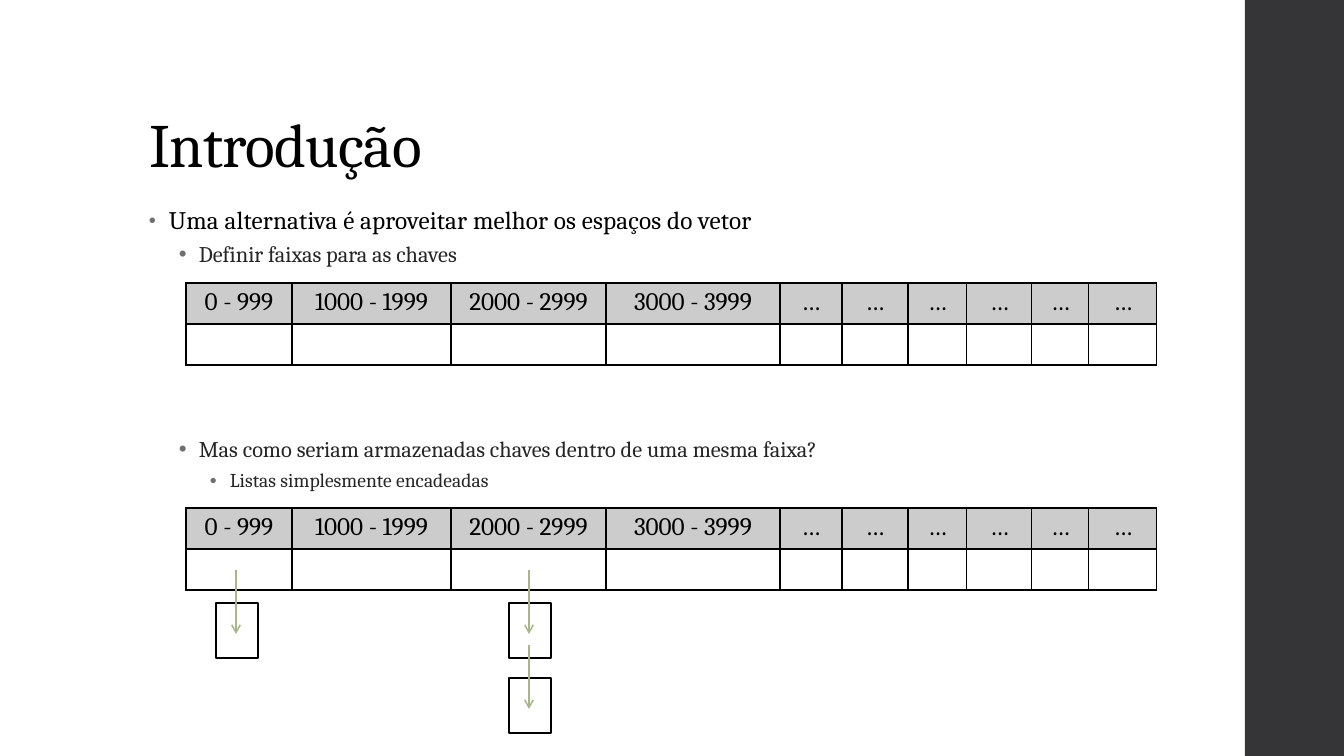
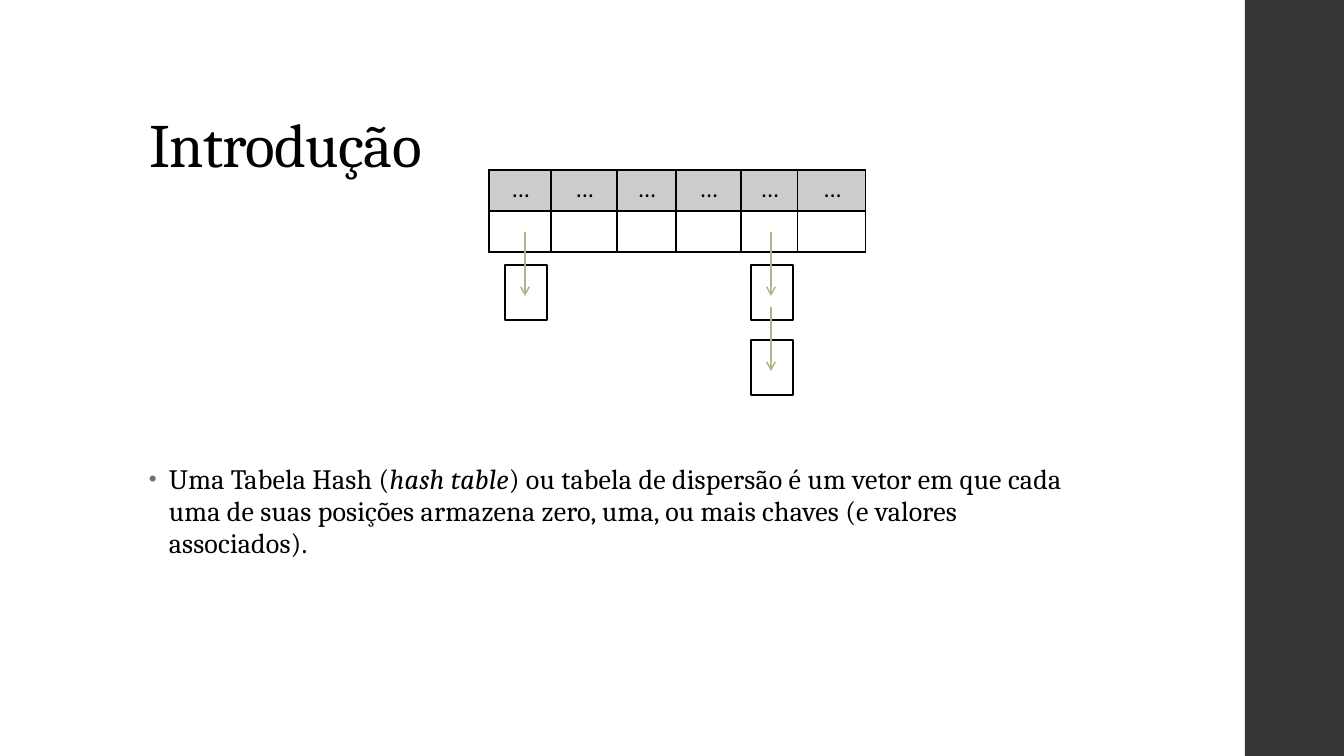
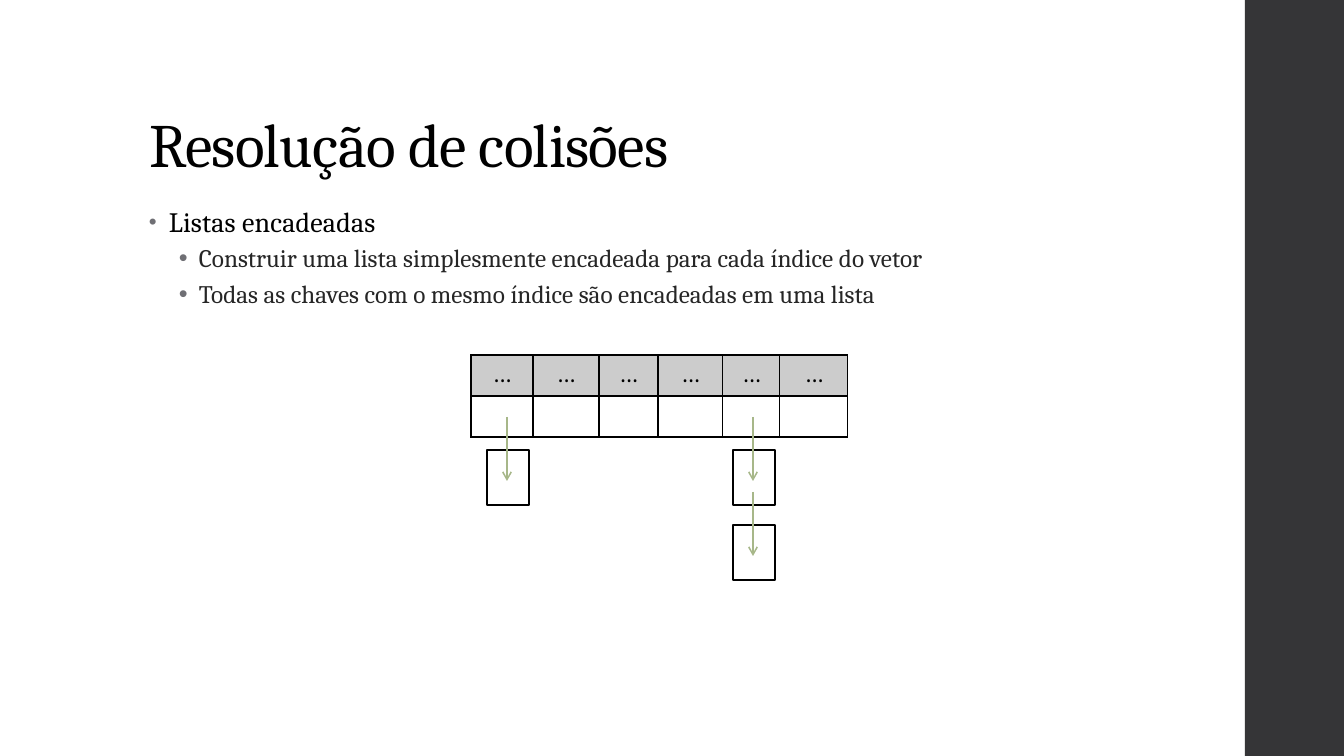
from lxml import etree
from pptx import Presentation
from pptx.dml.color import RGBColor
from pptx.enum import shapes, text
from pptx.oxml.ns import qn
from pptx.util import Emu, Pt

PX = 914400 / 100.8
FONT = "Cambria"
BLACK, WHITE, BAND, HEADER = "000000", "FFFFFF", "353537", "CCCCCC"
SOFT_BLACK, BULLET, ARROW = "262626", "6F6F74", "A7B789"

TITLE_BOX = (139, 40, 1068, 146)
BODY_BOX = (139, 202, 948, 480)
BAND_BOX = (1245, 0, 99, 756)
LINE_WIDTH = 1.1
ROW_HEIGHT = 41
SLOT_WIDTHS = [62, 66, 59, 65, 57, 68]
RANGES = {"0 - 999": 106, "1000 - 1999": 159, "2000 - 2999": 155, "3000 - 3999": 174}
SLOTS = [("…", width) for width in SLOT_WIDTHS]
FULL_VECTOR = [*RANGES.items(), *SLOTS]

LEVELS = [
    {"indent": 20, "color": BLACK, "spc": 10, "bullet_size": 80,
     "format": {"line_spacing": 0.95, "space_before": Pt(14), "space_after": Pt(2)}},
    {"indent": 50, "color": SOFT_BLACK, "spc": 0, "bullet_size": 100,
     "format": {"line_spacing": 0.9, "space_before": Pt(3), "space_after": Pt(3)}},
    {"indent": 81, "color": SOFT_BLACK, "spc": 0, "bullet_size": 100,
     "format": {"line_spacing": 0.9, "space_before": Pt(3), "space_after": Pt(3)}},
]


def px(*lengths):
    """Turn pixel lengths into a list of EMU."""
    return [Emu(round(length * PX)) for length in lengths]


def rgb(value):
    """Turn a hex string into a colour."""
    return RGBColor.from_string(value)


def assign(target, values):
    """Set the attributes of an object from a dict."""
    for name, value in values.items():
        setattr(target, name, value)


def child(parent, tag, **attributes):
    """Append a DrawingML element and return it."""
    return etree.SubElement(parent, qn(f"a:{tag}"), attributes)


def add_span(para, words, size, color, spc=0, italic=None):
    """Add one formatted run to a paragraph."""
    span = para.add_run()
    span.text = words
    assign(span.font, {"name": FONT, "size": Pt(size), "italic": italic})
    span.font.color.rgb = rgb(color)
    if spc:
        span.font._element.set("spc", str(spc))


def add_rectangle(page, box, fill, line=None):
    """Draw a flat rectangle, outlined when a line colour is given."""
    rectangle = page.shapes.add_shape(shapes.MSO_SHAPE.RECTANGLE, *px(*box))
    rectangle.shadow.inherit = False
    rectangle.fill.solid()
    rectangle.fill.fore_color.rgb = rgb(fill)
    if line:
        rectangle.line.color.rgb = rgb(line)
        rectangle.line.width = Pt(LINE_WIDTH)
    else:
        rectangle.line.fill.background()
    return rectangle


def add_band(page):
    """Place the dark side band on the layout that the pages share."""
    band = add_rectangle(page, BAND_BOX, BAND)
    page.slide_layout.element.cSld.spTree.append(band.element)


def add_page(deck, title):
    """Add a title-only page with its formatted title."""
    page = deck.slides.add_slide(deck.slide_layouts[5])
    holder = page.shapes.title
    assign(holder, dict(zip(("left", "top", "width", "height"), px(*TITLE_BOX))))
    assign(holder.text_frame, {"auto_size": text.MSO_AUTO_SIZE.NONE, "word_wrap": True,
                               "vertical_anchor": text.MSO_ANCHOR.BOTTOM})
    para = holder.text_frame.paragraphs[0]
    assign(para, {"alignment": text.PP_ALIGN.LEFT, "line_spacing": 0.9})
    add_span(para, title, 44, BLACK, -50)
    return page


def add_bullet(para, level, size, words, before=None):
    """Fill a bulleted paragraph; words between asterisks are italic."""
    style = LEVELS[level]
    assign(para, {"level": level, **style["format"]})
    if before is not None:
        para.space_before = Pt(before)
    properties = para._p.get_or_add_pPr()
    left, hanging = px(style["indent"], -20)
    properties.set("marL", str(left))
    properties.set("indent", str(hanging))
    child(child(properties, "buClr"), "srgbClr", val=BULLET)
    child(properties, "buSzPct", val=str(style["bullet_size"] * 1000))
    child(properties, "buFont", typeface="Arial")
    child(properties, "buChar", char="•")
    for index, part in enumerate(words.split("*")):
        add_span(para, part, size, style["color"], style["spc"], index % 2 == 1)


def add_body(page, bullets, box=BODY_BOX):
    """Write a list of bullets into a text box."""
    frame = page.shapes.add_textbox(*px(*box)).text_frame
    frame.word_wrap = True
    for index, bullet in enumerate(bullets):
        para = frame.add_paragraph() if index else frame.paragraphs[0]
        add_bullet(para, *bullet)


def format_cell(cell, fill):
    """Give a cell black borders and an optional fill."""
    properties = cell._tc.get_or_add_tcPr()
    for side in ("lnL", "lnR", "lnT", "lnB"):
        border = child(properties, side, w=str(Pt(1)))
        child(child(border, "solidFill"), "srgbClr", val=BLACK)
    if fill:
        cell.fill.solid()
        cell.fill.fore_color.rgb = rgb(fill)
    else:
        cell.fill.background()


def add_vector(page, left, top, columns):
    """Draw the vector as a row of keys above a row of slots."""
    width = sum(column_width for _, column_width in columns)
    table = page.shapes.add_table(
        2, len(columns), *px(left, top, width, 2 * ROW_HEIGHT)).table
    assign(table, {"first_row": False, "horz_banding": False})
    for row in table.rows:
        row.height = px(ROW_HEIGHT)[0]
    for index, (label, column_width) in enumerate(columns):
        table.columns[index].width = px(column_width)[0]
        key, slot = table.cell(0, index), table.cell(1, index)
        format_cell(key, HEADER)
        format_cell(slot, None)
        para = key.text_frame.paragraphs[0]
        para.alignment = text.PP_ALIGN.CENTER
        add_span(para, label, 18, BLACK)


def add_arrow(page, x, start, end):
    """Draw a downward arrow."""
    arrow = page.shapes.add_connector(
        shapes.MSO_CONNECTOR.STRAIGHT, *px(x, start, x, end))
    arrow.line.color.rgb = rgb(ARROW)
    arrow.line.width = Pt(LINE_WIDTH)
    properties = arrow.element.spPr
    child(properties.find(qn("a:ln")), "tailEnd", type="arrow")
    child(properties, "effectLst")


def add_chain(page, left, top, count):
    """Draw linked nodes below one another, each with its arrow."""
    for index in range(count):
        node_top = top + 75 * index
        add_rectangle(page, (left, node_top, 42, 55), WHITE, BLACK)
        add_arrow(page, left + 20, node_top - 33, node_top + 31)


def add_hash_table(page, left, top, columns, chains):
    """Draw a vector with chains hanging at offsets from its left edge."""
    add_vector(page, left, top, columns)
    for offset, count in chains:
        add_chain(page, left + offset, top + 95, count)


def main():
    """Build and save the deck."""
    deck = Presentation()
    deck.slide_width, deck.slide_height = px(1344, 756)
    short_chains = [(16, 1), (262, 2)]

    page = add_page(deck, "Introdução")
    add_band(page)
    add_body(page, [
        (0, 18, "Uma alternativa é aproveitar melhor os espaços do vetor"),
        (1, 16, "Definir faixas para as chaves"),
        (1, 16, "Mas como seriam armazenadas chaves dentro de uma mesma faixa?", 119.5),
        (2, 14, "Listas simplesmente encadeadas"),
    ])
    add_vector(page, 186, 283, FULL_VECTOR)
    add_hash_table(page, 186, 508, FULL_VECTOR, [(30, 1), (323, 2)])

    page = add_page(deck, "Introdução")
    add_body(page, [
        (0, 20, "Uma Tabela Hash (*hash table*) ou tabela de dispersão é um vetor em que cada "
                "uma de suas posições armazena zero, uma, ou mais chaves (e valores associados)."),
    ], (139, 459, 948, 223))
    add_hash_table(page, 489, 170, SLOTS, short_chains)

    page = add_page(deck, "Resolução de colisões")
    add_body(page, [
        (0, 20, "Listas encadeadas"),
        (1, 18, "Construir uma lista simplesmente encadeada para cada índice do vetor"),
        (1, 18, "Todas as chaves com o mesmo índice são encadeadas em uma lista"),
    ])
    add_hash_table(page, 471, 355, SLOTS, short_chains)

    deck.save("out.pptx")


if __name__ == "__main__":
    main()
